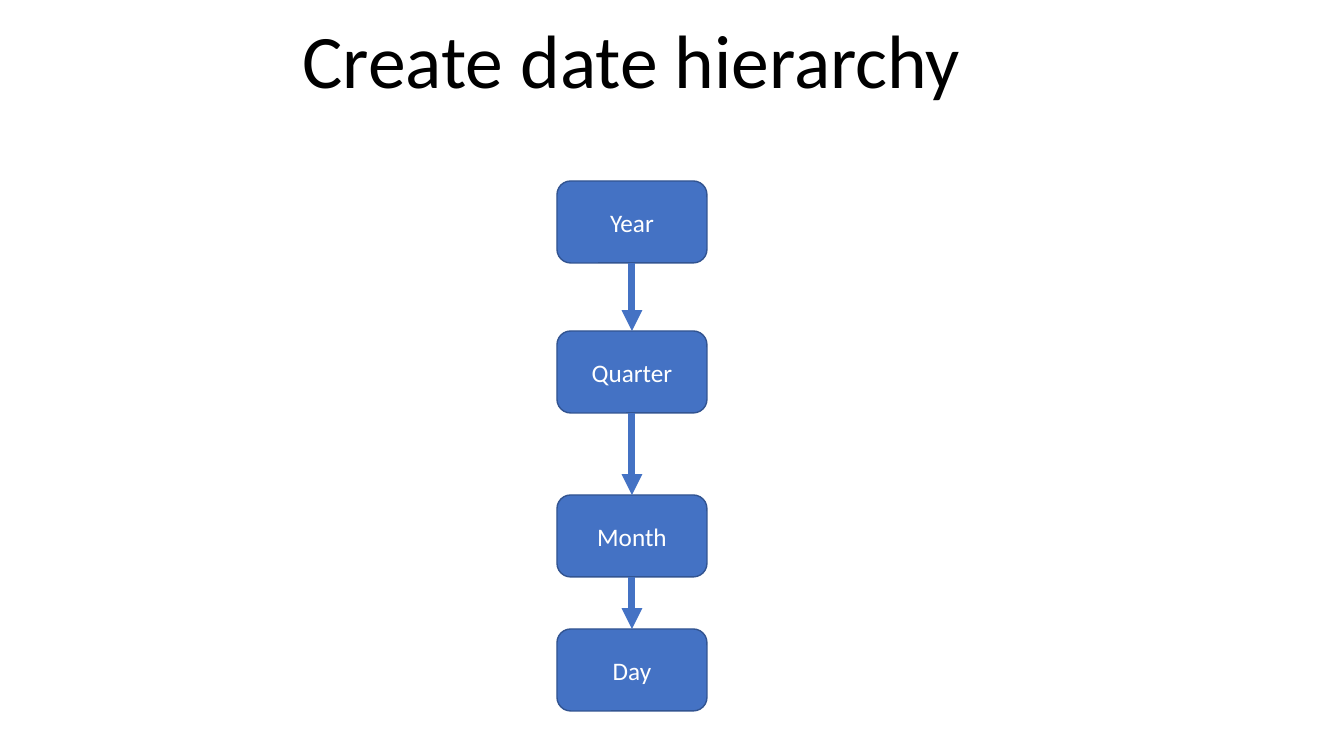
from lxml import etree
from pptx import Presentation
from pptx.dml.color import RGBColor
from pptx.enum.shapes import MSO_CONNECTOR, MSO_SHAPE
from pptx.enum.text import MSO_ANCHOR, MSO_AUTO_SIZE, PP_ALIGN
from pptx.oxml.ns import qn
from pptx.util import Pt

BOX = MSO_SHAPE.FLOWCHART_ALTERNATE_PROCESS
STRAIGHT = MSO_CONNECTOR.STRAIGHT
CENTER = PP_ALIGN.CENTER
MIDDLE = MSO_ANCHOR.MIDDLE
GROW = MSO_AUTO_SIZE.SHAPE_TO_FIT_TEXT
TOP_SIDE, BOTTOM_SIDE = 0, 2
COLORS = {"box": "4472C4", "edge": "325491", "label": "FFFFFF", "title": "000000"}


def px(n):
    return round(n * 914400 / 100.8)


def write(tf, text, size, color):
    p = tf.paragraphs[0]
    p.alignment = CENTER
    r = p.add_run()
    r.text = text
    for name, value in {"name": "Calibri", "size": Pt(size)}.items():
        setattr(r.font, name, value)
    r.font.color.rgb = RGBColor.from_string(COLORS[color])


prs = Presentation()
prs.slide_width, prs.slide_height = px(1344), px(756)
s = prs.slides.add_slide(prs.slide_layouts[6])

boxes = []
for level, top in [("Year", 181), ("Quarter", 331), ("Month", 495), ("Day", 629)]:
    sp = s.shapes.add_shape(BOX, px(557), px(top), px(150), px(82))
    sp.shadow.inherit = False
    sp.fill.solid()
    sp.fill.fore_color.rgb = RGBColor.from_string(COLORS["box"])
    sp.line.color.rgb = RGBColor.from_string(COLORS["edge"])
    sp.line.width = Pt(1)
    sp.text_frame.vertical_anchor = MIDDLE
    write(sp.text_frame, level, 18, "label")
    boxes.append(sp)

for upper, lower in zip(boxes, boxes[1:]):
    arrow = s.shapes.add_connector(STRAIGHT, 0, 0, 0, 0)
    arrow.begin_connect(upper, BOTTOM_SIDE)
    arrow.end_connect(lower, TOP_SIDE)
    arrow.line.color.rgb = RGBColor.from_string(COLORS["box"])
    arrow.line.width = Pt(5)
    etree.SubElement(arrow.line._get_or_add_ln(), qn("a:tailEnd"), type="triangle")
    etree.SubElement(arrow._element.spPr, qn("a:effectLst"))

title = s.shapes.add_textbox(px(289), px(8), px(685), px(102))
title.text_frame.word_wrap = False
title.text_frame.auto_size = GROW
write(title.text_frame, "Create date hierarchy", 54, "title")

prs.save("out.pptx")
